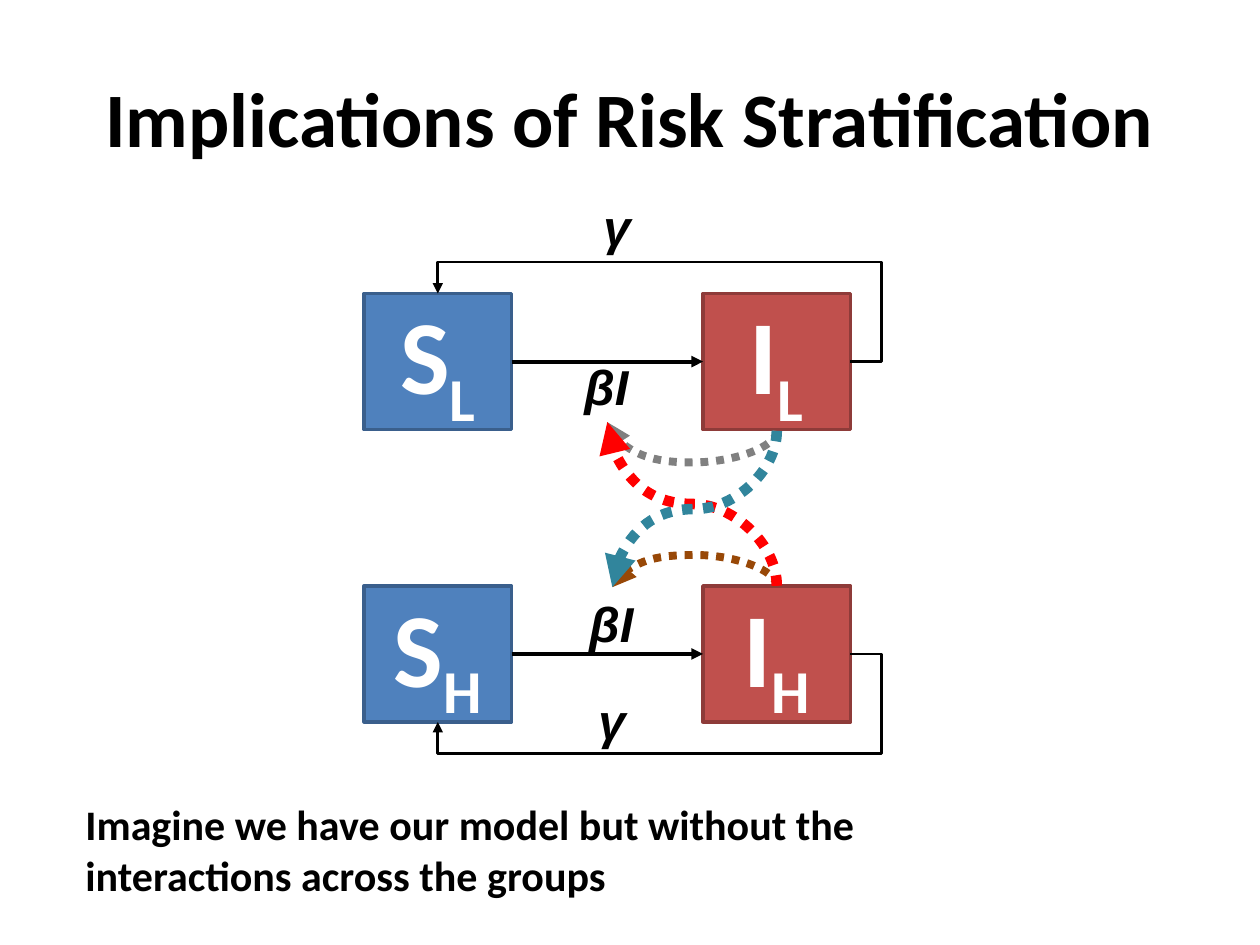
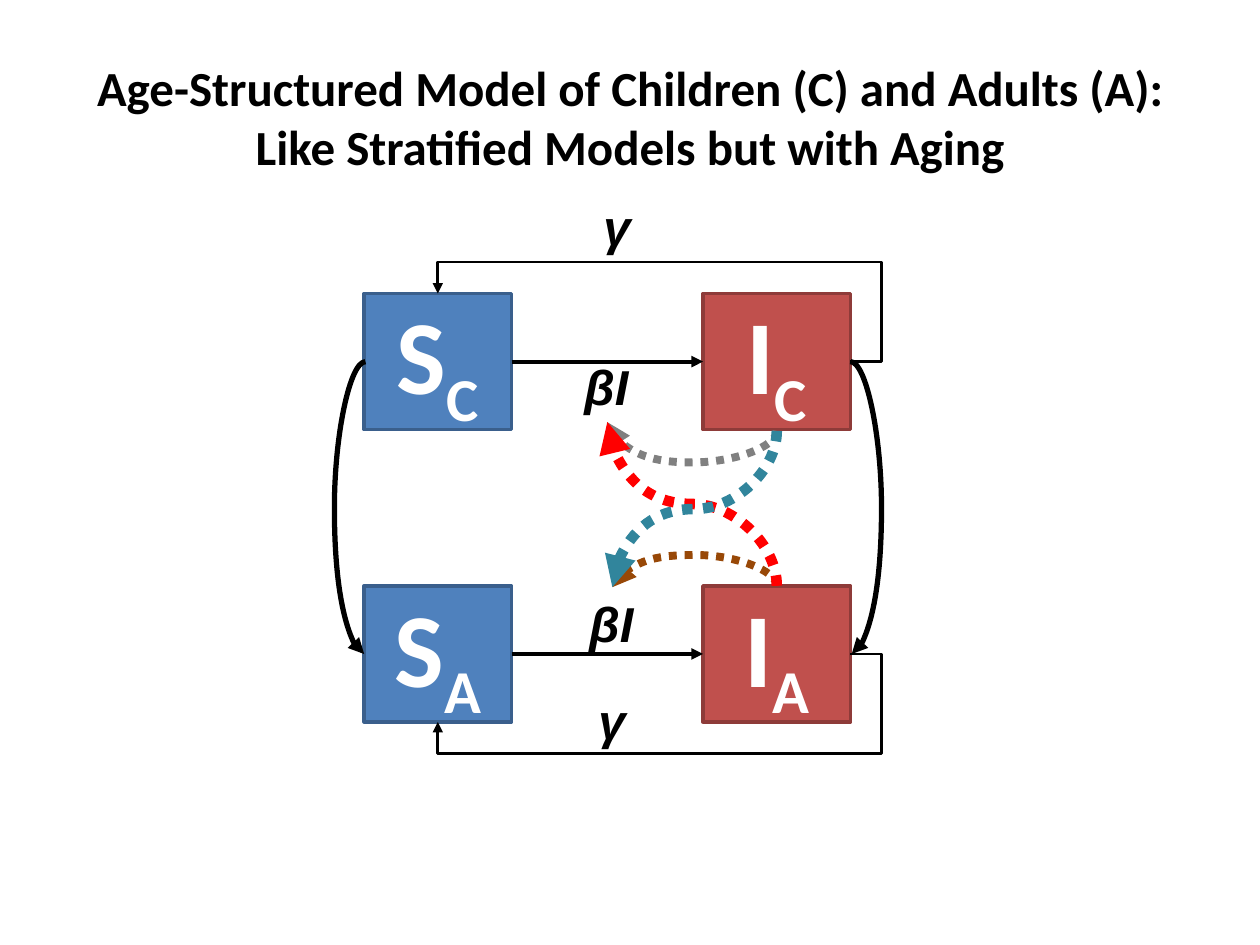
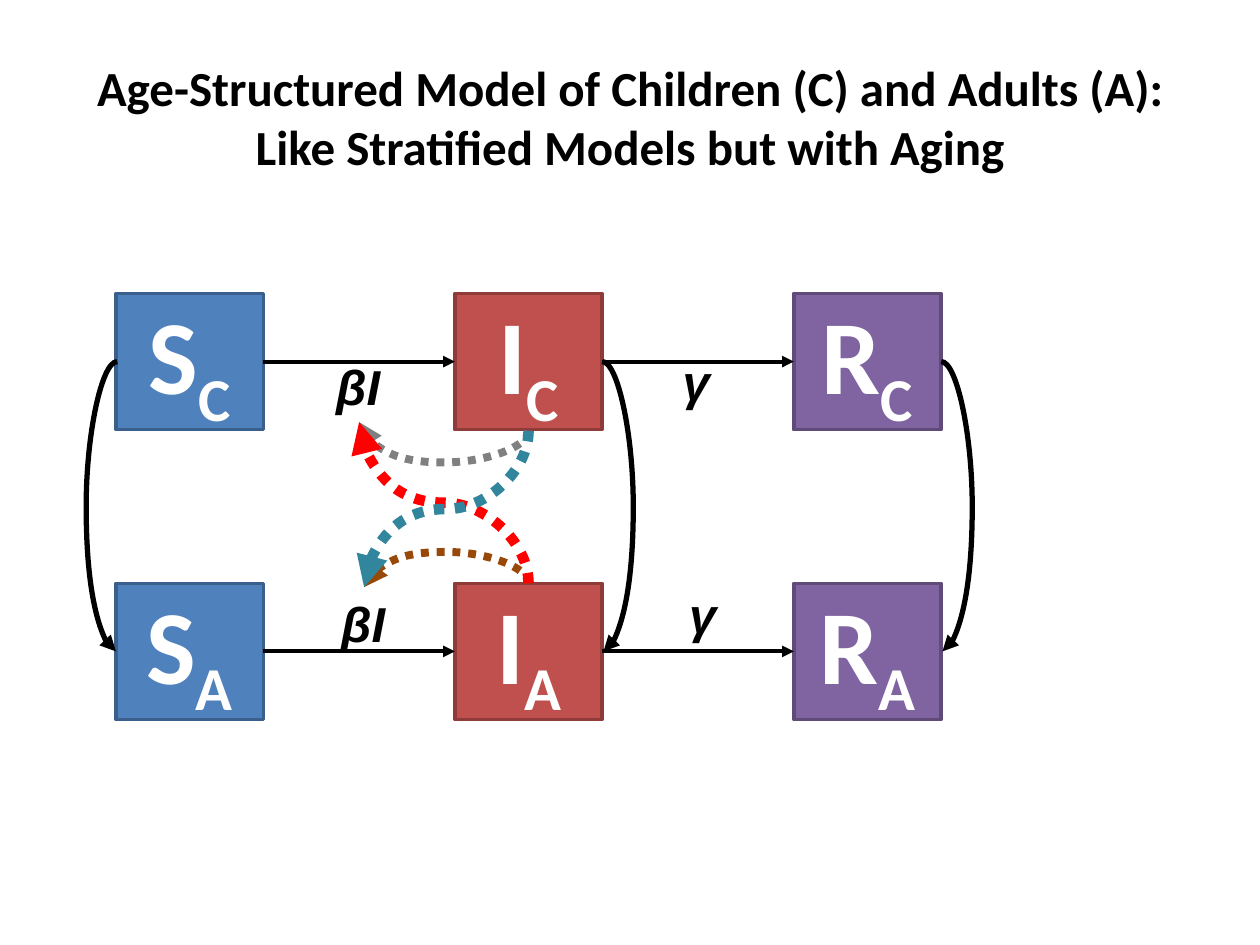
from math import cos, radians, sin

from lxml.etree import SubElement
from pptx import Presentation
from pptx.dml.color import RGBColor
from pptx.enum.dml import MSO_LINE
from pptx.enum.shapes import MSO_CONNECTOR as CONNECTOR, MSO_SHAPE as SHAPE
from pptx.enum.text import MSO_ANCHOR as ANCHOR, MSO_AUTO_SIZE as AUTO_SIZE, PP_ALIGN as ALIGN
from pptx.oxml.ns import qn
from pptx.util import Inches, Pt

BLACK, WHITE = "000000", "FFFFFF"
STATES = {"S": ("4F81BD", "3A5F8C"), "I": ("C0504D", "8E3B39"), "R": ("8064A2", "5F4A78")}
BOX_WIDTH, BOX_HEIGHT, COLUMN_PITCH = 1.17, 1.08, 2.69
TOP_ROW, LOOP_GAP = 2.33, 0.25
RIGHT, DOWN, LEFT, UP = 0, 90, 180, 270

BOLD = {"name": "Calibri", "bold": True}
BOX_FONT = {**BOLD, "size": Pt(60)}
CAPTION_FONT = {**BOLD, "size": Pt(24)}
RATE_FONT = {"name": "Arial", "size": Pt(28), "bold": True, "italic": True}
AGE_TITLE = ("Age-Structured Model of Children (C) and Adults (A): "
             "Like Stratified Models but with Aging")


def rgb(value):
    """Turn a hex string into a colour."""
    return RGBColor.from_string(value)


def format_font(font, values, color=BLACK):
    """Set font attributes and colour."""
    for name, value in values.items():
        setattr(font, name, value)
    font.color.rgb = rgb(color)


def add_titled_slide(presentation, title, size):
    """Add a title-only slide with a bold centred title."""
    slide = presentation.slides.add_slide(presentation.slide_layouts[5])
    shape = slide.shapes.title
    frame = {"left": 0.5, "top": 0.3, "width": 9, "height": 1.25}
    for name, value in frame.items():
        setattr(shape, name, Inches(value))
    shape.text_frame.text = title
    shape.text_frame.vertical_anchor = ANCHOR.MIDDLE
    paragraph = shape.text_frame.paragraphs[0]
    paragraph.alignment = ALIGN.CENTER
    format_font(paragraph.runs[0].font, {**BOLD, "size": Pt(size)})
    return slide


def add_text(slide, text, frame, font, wrap=False):
    """Add a text box that grows with its text."""
    box = slide.shapes.add_textbox(*map(Inches, frame))
    box.text_frame.word_wrap = wrap
    box.text_frame.auto_size = AUTO_SIZE.SHAPE_TO_FIT_TEXT
    run = box.text_frame.paragraphs[0].add_run()
    run.text = text
    format_font(run.font, font)


def add_rate(slide, text, left, top):
    """Add a rate symbol beside an arrow."""
    add_text(slide, text, (left, top, 0.55 if len(text) > 1 else 0.42, 0.57), RATE_FONT)


def add_state(slide, state, group, left, top):
    """Add a compartment box labelled with a state and a group subscript."""
    fill, outline = STATES[state]
    frame = (left, top, BOX_WIDTH, BOX_HEIGHT)
    shape = slide.shapes.add_shape(SHAPE.RECTANGLE, *map(Inches, frame))
    shape.shadow.inherit = False
    shape.fill.solid()
    shape.fill.fore_color.rgb = rgb(fill)
    shape.line.color.rgb = rgb(outline)
    shape.line.width = Pt(2)
    shape.text_frame.vertical_anchor = ANCHOR.MIDDLE
    paragraph = shape.text_frame.paragraphs[0]
    paragraph.alignment = ALIGN.CENTER
    for text in (state, group):
        run = paragraph.add_run()
        run.text = text
        format_font(run.font, BOX_FONT, WHITE)
    run.font._element.set("baseline", "-25000")


def format_arrow(connector, color, width, dotted=False):
    """Style a connector as an arrow without shadow."""
    connector.line.color.rgb = rgb(color)
    connector.line.width = Pt(width)
    if dotted:
        connector.line.dash_style = MSO_LINE.ROUND_DOT
    properties = connector.element.spPr
    SubElement(properties.find(qn("a:ln")), qn("a:tailEnd"), type="triangle")
    SubElement(properties, qn("a:effectLst"))


def add_arrow(slide, start, end):
    """Add a straight transition arrow."""
    points = map(Inches, (*start, *end))
    format_arrow(slide.shapes.add_connector(CONNECTOR.STRAIGHT, *points), BLACK, 2.25)


def add_route(slide, kind, preset, start, end, heading, levels, style):
    """Add a connector that leaves along a heading and turns at given levels."""
    angle = radians(heading)
    along = (round(cos(angle)), round(sin(angle)))
    across = (-along[1], along[0])

    def project(point, axis):
        return sum((value - origin) * part for value, origin, part in zip(point, start, axis))

    spans = [project(end, axis) for axis in (along, across)]
    width, height = map(abs, spans)
    left = (start[0] + end[0] - width) / 2
    top = (start[1] + end[1] - height) / 2
    frame = (left, top, left + width, top + height)
    connector = slide.shapes.add_connector(kind, *map(Inches, frame))
    transform = connector.element.spPr.find(qn("a:xfrm"))
    transform.set("rot", str(heading * 60000))
    for flip, span in zip(("flipH", "flipV"), spans):
        transform.set(flip, str(int(span < 0)))
    geometry = connector.element.spPr.find(qn("a:prstGeom"))
    geometry.set("prst", preset)
    guides = geometry.find(qn("a:avLst"))
    for number, (level, span) in enumerate(zip(levels, spans), 1):
        SubElement(guides, qn("a:gd"), name=f"adj{number}",
                   fmla=f"val {round(level / span * 100000)}")
    format_arrow(connector, *style)


def add_curve(slide, start, end, heading, reach, style):
    """Add a curved arrow that bulges by a given reach."""
    add_route(slide, CONNECTOR.CURVE, "curvedConnector3", start, end, heading, [reach], style)


def add_return(slide, left, top, upward):
    """Add the recovery loop from infected back to susceptible."""
    start = (left + COLUMN_PITCH + BOX_WIDTH, top + BOX_HEIGHT / 2)
    end = (left + BOX_WIDTH / 2, top if upward else top + BOX_HEIGHT)
    rise = (BOX_HEIGHT / 2 + LOOP_GAP) * (-1 if upward else 1)
    add_route(slide, CONNECTOR.ELBOW, "bentConnector4", start, end, RIGHT,
              [LOOP_GAP, rise], (BLACK, 1.5))


def add_influences(slide, left, bottom_row):
    """Add the dotted curves from infected boxes to infection rates."""
    source_x = left + COLUMN_PITCH + BOX_WIDTH / 2
    upper, lower = (source_x, 3.42), (source_x, bottom_row)
    upper_rate, lower_rate = (left + 1.93, 3.35), (left + 1.97, 4.66)
    cross_up = (lower[1] - upper_rate[1]) / 2
    cross_down = (lower_rate[1] - upper[1]) / 2
    for start, end, heading, reach, color, width in (
        (lower, lower_rate, UP, LOOP_GAP, "984807", 4.5),
        (upper, upper_rate, DOWN, LOOP_GAP, "808080", 4.5),
        (lower, upper_rate, UP, cross_up, "FF0000", 6),
        (upper, lower_rate, DOWN, cross_down, "31859C", 6),
    ):
        add_curve(slide, start, end, heading, reach, (color, width, True))


def add_aging(slide, edge, bottom_row, heading):
    """Add the aging curve from a child box to the adult box below."""
    nudge = 0.01 if heading == RIGHT else -0.01
    start = (edge, TOP_ROW + BOX_HEIGHT / 2)
    end = (edge + nudge, bottom_row + BOX_HEIGHT / 2)
    add_curve(slide, start, end, heading, LOOP_GAP, (BLACK, 3))


def add_model(slide, states, groups, left, bottom_row, gammas, aging):
    """Add a two-group compartment model."""
    rows = (TOP_ROW, bottom_row)
    for group, top in zip(groups, rows):
        middle = top + BOX_HEIGHT / 2
        for column, state in enumerate(states):
            box_left = left + column * COLUMN_PITCH
            add_state(slide, state, group, box_left, top)
            if column:
                gap_left = box_left - COLUMN_PITCH + BOX_WIDTH
                add_arrow(slide, (gap_left, middle), (box_left, middle))
        if "R" not in states:
            add_return(slide, left, top, top == TOP_ROW)
    add_rate(slide, "βI", left + 1.65, 2.78)
    add_rate(slide, "βI", left + 1.69, 4.66)
    for position in gammas:
        add_rate(slide, "γ", *position)
    add_influences(slide, left, bottom_row)
    if aging:
        add_aging(slide, left + 0.01, bottom_row, LEFT)
        for column in range(1, len(states)):
            add_aging(slide, left + column * COLUMN_PITCH + BOX_WIDTH, bottom_row, RIGHT)


def main():
    """Build the three slides."""
    presentation = Presentation()
    presentation.slide_width, presentation.slide_height = Inches(10), Inches(7.5)
    loop_gammas = ((4.69, 1.51), (4.65, 5.43))
    row_gammas = ((5.32, 2.74), (5.37, 4.59))

    slide = add_titled_slide(presentation, "Implications of Risk Stratification", 44)
    add_model(slide, "SI", "LH", 2.89, 4.65, loop_gammas, aging=False)
    add_text(slide, "Imagine we have our model but without the interactions across the groups",
             (0.58, 6.29, 6.67, 0.91), CAPTION_FONT, wrap=True)

    for states, left, bottom_row, gammas in (
        ("SI", 2.89, 4.65, loop_gammas),
        ("SIR", 0.92, 4.63, row_gammas),
    ):
        slide = add_titled_slide(presentation, AGE_TITLE, 28)
        add_model(slide, states, "CA", left, bottom_row, gammas, aging=True)

    presentation.save("out.pptx")


if __name__ == "__main__":
    main()
